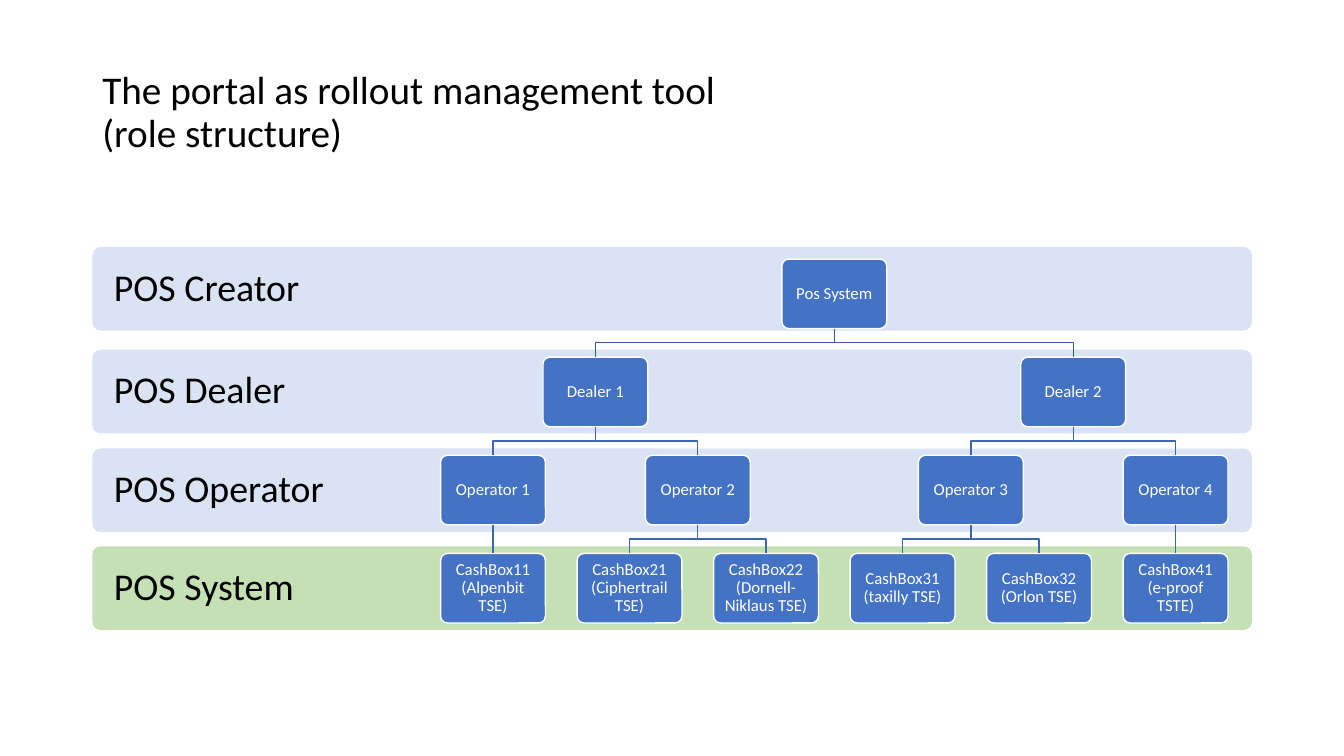
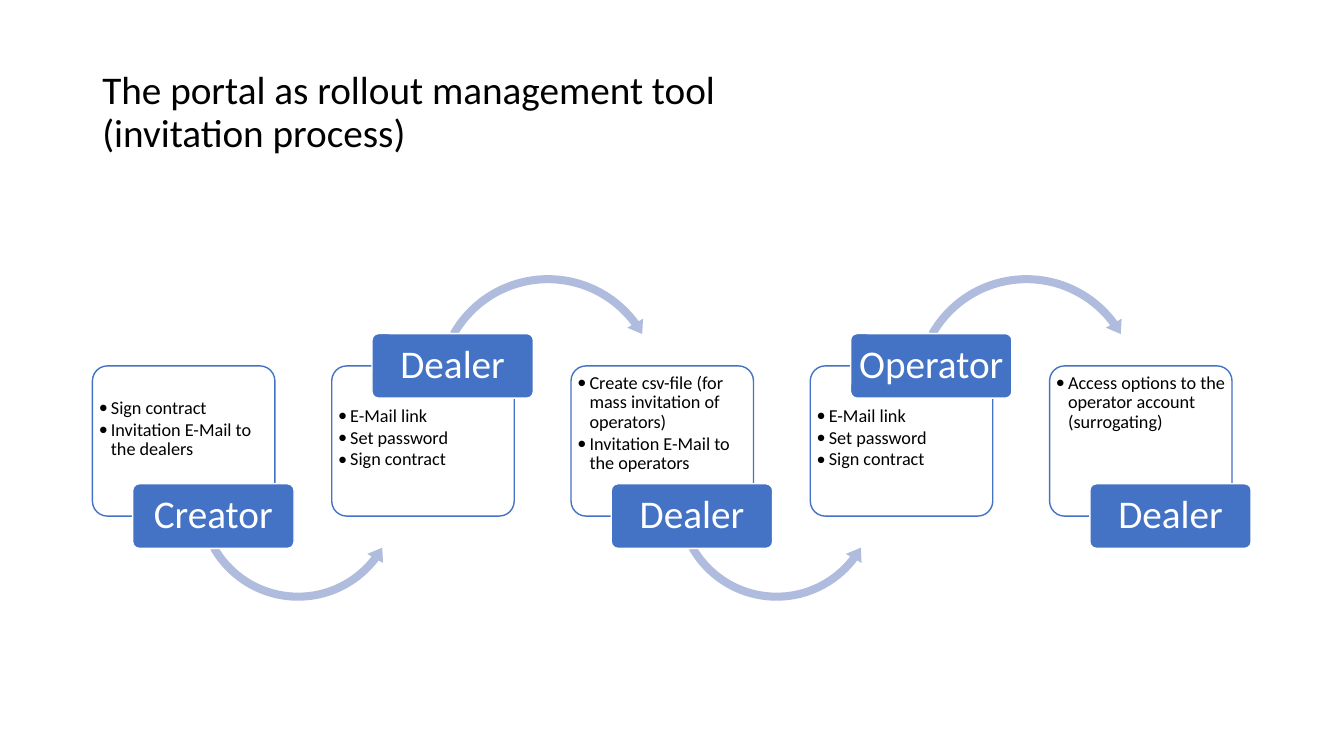
"""Build two slides on a rollout portal: the role structure and the invitation process."""
import lxml.etree
import pptx
import pptx.dml.color
import pptx.enum.shapes
import pptx.enum.text
import pptx.oxml.ns
import pptx.util

rgb = pptx.dml.color.RGBColor.from_string
inch = pptx.util.Inches
qn = pptx.oxml.ns.qn
SHAPE = pptx.enum.shapes.MSO_SHAPE
ALIGN = pptx.enum.text.PP_ALIGN
ANCHOR = pptx.enum.text.MSO_ANCHOR

FONT = "Calibri"
BLACK, WHITE = "000000", "FFFFFF"
BLUE, PALE_BLUE, GREEN = "4472C4", "DAE3F3", "C5E0B4"
TOP_LINE, LINE_BLUE, ARROW_BLUE = "365B9D", "3E67B2", "B0BCDE"
LEFT, WIDTH = 11 / 12, 11.5


def box(sl, kind, x, y, w, h, fill, line=None):
    s = sl.shapes.add_shape(kind, inch(x), inch(y), inch(w), inch(h))
    s.shadow.inherit = False
    s.fill.solid()
    s.fill.fore_color.rgb = rgb(fill)
    if line:
        s.line.color.rgb = rgb(line)
        s.line.width = pptx.util.Pt(1)
    else:
        s.line.fill.background()
    if kind == SHAPE.ROUNDED_RECTANGLE:
        s.adjustments[0] = 0.1
    return s


def write(s, *texts, size, color=BLACK, align=ALIGN.LEFT, anchor=ANCHOR.MIDDLE,
          side=0.05, top=0.05, bottom=0.05, after=0, bullet=False):
    tf = s.text_frame
    tf.word_wrap = True
    tf.vertical_anchor = anchor
    tf.margin_left = tf.margin_right = inch(side)
    tf.margin_top, tf.margin_bottom = inch(top), inch(bottom)
    for i, text in enumerate(texts):
        p = tf.add_paragraph() if i else tf.paragraphs[0]
        p.text = text
        p.alignment = align
        p.line_spacing = 0.9
        p.space_after = pptx.util.Pt(after)
        for r in p.runs:
            r.font.name = FONT
            r.font.size = pptx.util.Pt(size)
            r.font.color.rgb = rgb(color)
        if bullet:
            pPr = p._p.get_or_add_pPr()
            pPr.set("marL", str(inch(0.12)))
            pPr.set("indent", str(inch(-0.12)))
            lxml.etree.SubElement(pPr, qn("a:buFont")).set("typeface", FONT)
            lxml.etree.SubElement(pPr, qn("a:buChar")).set("char", "•")


prs = pptx.Presentation()
prs.slide_width, prs.slide_height = inch(13.33), inch(7.5)

slides = []
for topic in ("role structure", "invitation process"):
    sl = prs.slides.add_slide(prs.slide_layouts[6])
    title = sl.shapes.add_textbox(inch(LEFT), inch(0.4), inch(WIDTH), inch(1.45))
    write(title, f"The portal as rollout management tool\v({topic})", size=28, side=0.1)
    slides.append(sl)
roles, process = slides

bands = [
    ("POS Creator", 2.45, PALE_BLUE),
    ("POS Dealer", 3.47, PALE_BLUE),
    ("POS Operator", 4.45, PALE_BLUE),
    ("POS System", 5.42, GREEN),
]
for label, y, fill in bands:
    band = box(roles, SHAPE.ROUNDED_RECTANGLE, LEFT, y, WIDTH, 0.83, fill)
    write(band, label, size=27, side=0.19)

NODE_W, NODE_H = 1.04, 0.69
FIRST_X, COL = 4.89, (11.66 - 4.89) / 5
FIRST_Y, ROW = 2.57, (5.49 - 2.57) / 3
leaves = ["CashBox11 (Alpenbit TSE)", "CashBox21 (Ciphertrail TSE)", "CashBox22 (Dornell-Niklaus TSE)",
          "CashBox31 (taxilly TSE)", "CashBox32 (Orlon TSE)", "CashBox41 (e-proof TSTE)"]
tree = [
    [("Pos System", [0, 1])],
    [("Dealer 1", [0, 1]), ("Dealer 2", [2, 3])],
    [("Operator 1", [0]), ("Operator 2", [1, 2]), ("Operator 3", [3, 4]), ("Operator 4", [5])],
    [(leaf, []) for leaf in leaves],
]

below = []
for row in reversed(range(len(tree))):
    y = FIRST_Y + row * ROW
    bottom, mid, end = y + NODE_H, y + (NODE_H + ROW) / 2, y + ROW
    nodes = []
    for i, (label, children) in enumerate(tree[row]):
        kids = [below[c] for c in children]
        x = sum(kx for kx, _ in kids) / len(kids) if kids else FIRST_X + i * COL
        node = box(roles, SHAPE.ROUNDED_RECTANGLE, x - NODE_W / 2, y, NODE_W, NODE_H, BLUE, WHITE)
        write(node, label, size=12, color=WHITE, align=ALIGN.CENTER)
        nodes.append((x, node))
        for kx, kid in kids:
            if len(kids) == 1:
                link = roles.shapes.add_connector(pptx.enum.shapes.MSO_CONNECTOR.STRAIGHT,
                                                  inch(x), inch(bottom), inch(kx), inch(end))
                link.begin_connect(node, 2)
                link.end_connect(kid, 0)
                lxml.etree.SubElement(link._element.spPr, qn("a:effectLst"))
            else:
                elbow = roles.shapes.build_freeform(inch(x), inch(bottom))
                corners = [(x, mid), (kx, mid), (kx, end)]
                elbow.add_line_segments([(inch(px), inch(py)) for px, py in corners], close=False)
                link = elbow.convert_to_shape()
                link.shadow.inherit = False
                link.fill.background()
            link.line.color.rgb = rgb(LINE_BLUE if row else TOP_LINE)
            link.line.width = pptx.util.Pt(1)
    below = nodes

steps = [
    ("Creator", 0.28, ["Sign contract", "Invitation E-Mail to the dealers"]),
    ("Dealer", 0.36, ["E-Mail link", "Set password", "Sign contract"]),
    ("Dealer", 0.03, ["Create csv-file (for mass invitation of operators)",
                      "Invitation E-Mail to the operators"]),
    ("Operator", 0.36, ["E-Mail link", "Set password", "Sign contract"]),
    ("Dealer", 0.03, ["Access options to the operator account (surrogating)"]),
]
layouts = [
    (4.8, SHAPE.LEFT_CIRCULAR_ARROW, 0.99, 3.91, 2.1, (4.57, 22.33, 90.24)),
    (3.31, SHAPE.CIRCULAR_ARROW, 0.98, 2.68, 2.33, (4.09, 194.16, 125.76)),
]
STEP = (10.41 - LEFT) / 4
for i, (role, top, tasks) in enumerate(steps):
    x = LEFT + i * STEP
    tag_y, arrow_kind, arrow_dx, arrow_y, size, angles = layouts[i % 2]
    card = box(process, SHAPE.ROUNDED_RECTANGLE, x, 3.63, 1.81, 1.49, WHITE, BLUE)
    write(card, *tasks, size=13, anchor=ANCHOR.TOP, side=0.02, top=top, bottom=0.03,
          after=1.5, bullet=True)
    if i < len(steps) - 1:
        arrow = box(process, arrow_kind, x + arrow_dx, arrow_y, size, size, ARROW_BLUE)
        for n, value in enumerate((0.08 / size, *angles, 0.09 / size)):
            arrow.adjustments[n] = value
    tag = box(process, SHAPE.ROUNDED_RECTANGLE, x + 0.4, tag_y, 1.6, 0.64, BLUE, WHITE)
    write(tag, role, size=28, color=WHITE, align=ALIGN.CENTER, side=0.02)

prs.save("out.pptx")
